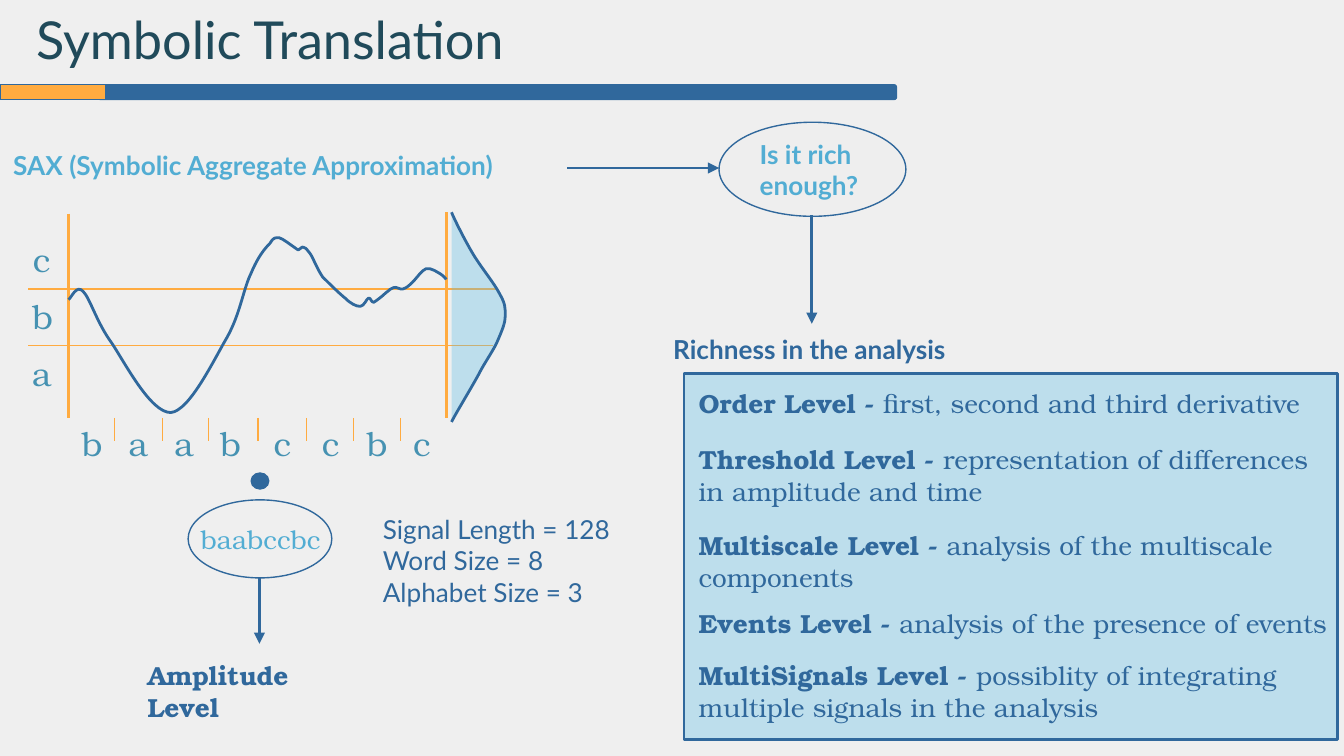
from typing import NamedTuple

from lxml import etree
from pptx import Presentation
from pptx import util as u
from pptx.dml import color
from pptx.enum import shapes, text
from pptx.oxml import ns

Pt = u.Pt
Kind = shapes.MSO_SHAPE
Anchor = text.MSO_ANCHOR
Align = text.PP_ALIGN
BLUE, GOLD, SKY, TEAL = "30689C", "FFAB40", "52ADD3", "4692B2"
TINT, GREY = "59BCE6", "EFEFEF"
SANS, SERIF = "Lato", "TeX Gyre Bonum"


class Box(NamedTuple):
    left: float
    top: float
    width: float
    height: float


class Style(NamedTuple):
    font: str
    hue: str
    size: float = 14
    bold: bool = False
    anchor: Anchor = Anchor.TOP
    align: Align = Align.LEFT


class Level(NamedTuple):
    name: str
    note: str
    top: float
    height: float
    anchor: Anchor = Anchor.TOP


class Line(NamedTuple):
    x1: float
    y1: float
    x2: float
    y2: float
    hue: str = GOLD
    width: float = 0.75
    arrow: bool = False


def rgb(hue: str) -> color.RGBColor:
    return color.RGBColor.from_string(hue)


def place(shape, box: Box) -> None:
    shape.left, shape.top, shape.width, shape.height = map(Pt, box)


def write(shape, lines: list[str], style: Style) -> None:
    frame = shape.text_frame
    frame.word_wrap = True
    frame.auto_size = text.MSO_AUTO_SIZE.NONE
    frame.vertical_anchor = style.anchor
    frame.margin_left = frame.margin_right = Pt(7.2)
    frame.margin_top = frame.margin_bottom = Pt(7.2)
    frame.text = "\n".join(lines)
    for para in frame.paragraphs:
        para.alignment = style.align
        font = para.font
        font.name, font.size, font.bold = style.font, Pt(style.size), style.bold
        font.color.rgb = rgb(style.hue)


def label(slide, box: Box, lines: list[str], style: Style):
    shape = slide.shapes.add_textbox(*map(Pt, box))
    write(shape, lines, style)
    return shape


def paint(shape, fill: str | None, width: float, alpha: int = 100) -> None:
    shape.shadow.inherit = False
    shape.line.color.rgb = rgb(BLUE)
    shape.line.width = Pt(width)
    if fill is None:
        shape.fill.background()
        return
    shape.fill.solid()
    shape.fill.fore_color.rgb = rgb(fill)
    if alpha < 100:
        tint = shape.fill._xPr.find(".//" + ns.qn("a:srgbClr"))
        etree.SubElement(tint, ns.qn("a:alpha"), val=str(alpha * 1000))


def draw(slide, kind: Kind, box: Box, fill: str | None,
         width: float = 0.75, alpha: int = 100):
    shape = slide.shapes.add_shape(kind, *map(Pt, box))
    paint(shape, fill, width, alpha)
    return shape


def rule(slide, line: Line) -> None:
    ends = map(Pt, line[:4])
    link = slide.shapes.add_connector(shapes.MSO_CONNECTOR.STRAIGHT, *ends)
    link.line.color.rgb = rgb(line.hue)
    link.line.width = Pt(line.width)
    if line.arrow:
        stroke = link.line._get_or_add_ln()
        etree.SubElement(stroke, ns.qn("a:tailEnd"), type="triangle")
    etree.SubElement(link._element.spPr, ns.qn("a:effectLst"))


def curve(slide, points: list[tuple[int, int]], fill: str | None, alpha: int = 100) -> None:
    pen = slide.shapes.build_freeform(*points[0], scale=Pt(0.72))
    pen.add_line_segments(points[1:], close=False)
    shape = pen.convert_to_shape()
    steps = list(shape._element.iter(ns.qn("a:lnTo")))
    for start in range(0, len(steps), 3):
        trio = steps[start:start + 3]
        bend = etree.Element(ns.qn("a:cubicBezTo"))
        trio[0].addprevious(bend)
        for step in trio:
            bend.append(step[0])
            step.getparent().remove(step)
    paint(shape, fill, 1.5, alpha)


WAVE = [
    (51, 223), (53, 222), (57, 211), (62, 217), (67, 222), (72, 240), (83, 255),
    (93, 270), (112, 307), (127, 307), (141, 306), (159, 268), (169, 251),
    (179, 233), (181, 215), (187, 203), (192, 191), (197, 185), (201, 181),
    (204, 176), (205, 177), (208, 177), (211, 178), (216, 182), (219, 184),
    (221, 185), (221, 186), (222, 186), (224, 186), (224, 183), (226, 184),
    (227, 184), (228, 185), (231, 189), (233, 192), (236, 200), (240, 206),
    (245, 211), (252, 218), (257, 222), (261, 226), (265, 228), (268, 228),
    (271, 228), (273, 222), (274, 222), (276, 221), (276, 225), (278, 225),
    (280, 224), (285, 220), (287, 218), (290, 216), (291, 214), (293, 214),
    (295, 213), (298, 216), (300, 215), (303, 214), (305, 212), (307, 210),
    (310, 207), (314, 201), (317, 200), (321, 199), (326, 203), (328, 204),
    (331, 206), (332, 208), (332, 208),
]
BELL = [
    (336, 158), (338, 163), (346, 179), (352, 189), (358, 199), (368, 211),
    (372, 219), (376, 226), (376, 229), (376, 235), (376, 240), (374, 245),
    (371, 252), (368, 260), (361, 269), (356, 279), (350, 290), (339, 308),
    (336, 314),
]
WORD = "baabccbc"
SLOTS = [36.7, 61.9, 86.4, 110.9, 139, 164.9, 189.4, 213.8]
TICKS = [61.2, 87.1, 111.6, 138.2, 164.2, 189.4, 214.6]
LEVELS = [
    Level("Order Level - ", "first, second and third derivative", 200.2, 51.1),
    Level("Threshold Level - ",
          "representation of differences in amplitude and time", 230.4, 35.3),
    Level("Multiscale Level - ", "analysis of the multiscale components", 276.5, 46.1),
    Level("Events Level - ", "analysis of the presence of events",
          321.8, 24.5, Anchor.MIDDLE),
    Level("MultiSignals Level - ",
          "possiblity of integrating multiple signals in the analysis", 346.3, 50.4),
]


def chart(slide) -> None:
    glyph = Style(SERIF, TEAL, 18, False, Anchor.MIDDLE, Align.CENTER)
    for sign, left in zip(WORD, SLOTS):
        label(slide, Box(left, 226.1, 24.5, 22.3), [sign], glyph)
    for row, sign in enumerate("cba"):
        label(slide, Box(10.1, 127.4 + 30.6 * row, 24.5, 22.3), [sign], glyph)
    for x in TICKS:
        rule(slide, Line(x, 223.9, x, 236.2))
    rule(slide, Line(36.7, 114.5, 36.7, 223.9, width=1.5))
    rule(slide, Line(239, 113.8, 239, 223.9, width=1.5))
    rule(slide, Line(15.1, 154.8, 265.7, 154.8))
    rule(slide, Line(15.1, 185, 264.2, 185))
    curve(slide, WAVE, None)
    curve(slide, BELL, TINT, 33)


def panel(slide) -> None:
    draw(slide, Kind.RECTANGLE, Box(366.5, 200.2, 349.9, 195.8), TINT, 1.5, 33)
    for level in LEVELS:
        style = Style(SERIF, BLUE, anchor=level.anchor)
        shape = label(slide, Box(367.2, level.top, 352.8, level.height),
                      [level.name], style)
        para = shape.text_frame.paragraphs[0]
        para.runs[0].font.bold = True
        para.add_run().text = level.note


def main() -> None:
    deck = Presentation()
    deck.slide_width, deck.slide_height = Pt(720), Pt(405)
    slide = deck.slides.add_slide(deck.slide_layouts[5])
    slide.background.fill.solid()
    slide.background.fill.fore_color.rgb = rgb(GREY)

    title = slide.shapes.title
    place(title, Box(12.2, 0, 403.9, 41.8))
    write(title, ["Symbolic Translation"], Style(SANS, "204A5A", 28, anchor=Anchor.MIDDLE))
    bar = draw(slide, Kind.ROUNDED_RECTANGLE, Box(52.6, 45.4, 427.7, 7.9), BLUE)
    bar.adjustments[0] = 0.17
    draw(slide, Kind.RECTANGLE, Box(0, 45.4, 56.9, 7.9), GOLD)

    panel(slide)
    chart(slide)

    label(slide, Box(0, 72.7, 303.8, 35.3),
          ["SAX (Symbolic Aggregate Approximation)"], Style(SANS, SKY, bold=True))
    label(slide, Box(198, 267.8, 152.6, 68.4),
          ["Signal Length = 128", "Word Size = 8", "Alphabet Size = 3"], Style(SANS, BLUE))
    label(slide, Box(353.5, 173.5, 162, 26.6), ["Richness in the analysis"],
          Style(SANS, BLUE, bold=True, anchor=Anchor.MIDDLE))
    label(slide, Box(72, 346.3, 120, 35.3), ["Amplitude Level"],
          Style(SERIF, BLUE, bold=True))

    draw(slide, Kind.OVAL, Box(134.6, 253.4, 9.4, 8.6), BLUE)
    draw(slide, Kind.OVAL, Box(100.8, 267.8, 77, 41.8), None)
    label(slide, Box(97.9, 267.8, 83.5, 41.8), [WORD],
          Style(SERIF, SKY, anchor=Anchor.MIDDLE, align=Align.CENTER))
    query = draw(slide, Kind.OVAL, Box(385.2, 65.5, 100.1, 50.4), "EEEEEE")
    write(query, ["Is it rich enough?"], Style(SANS, SKY, bold=True, anchor=Anchor.MIDDLE))

    rule(slide, Line(139, 309.6, 139, 344.9, BLUE, 1.5, True))
    rule(slide, Line(303.8, 90, 385.2, 90, BLUE, 1.5, True))
    rule(slide, Line(434.9, 115.2, 434.9, 173.5, BLUE, 1.5, True))
    deck.save("out.pptx")


if __name__ == "__main__":
    main()
